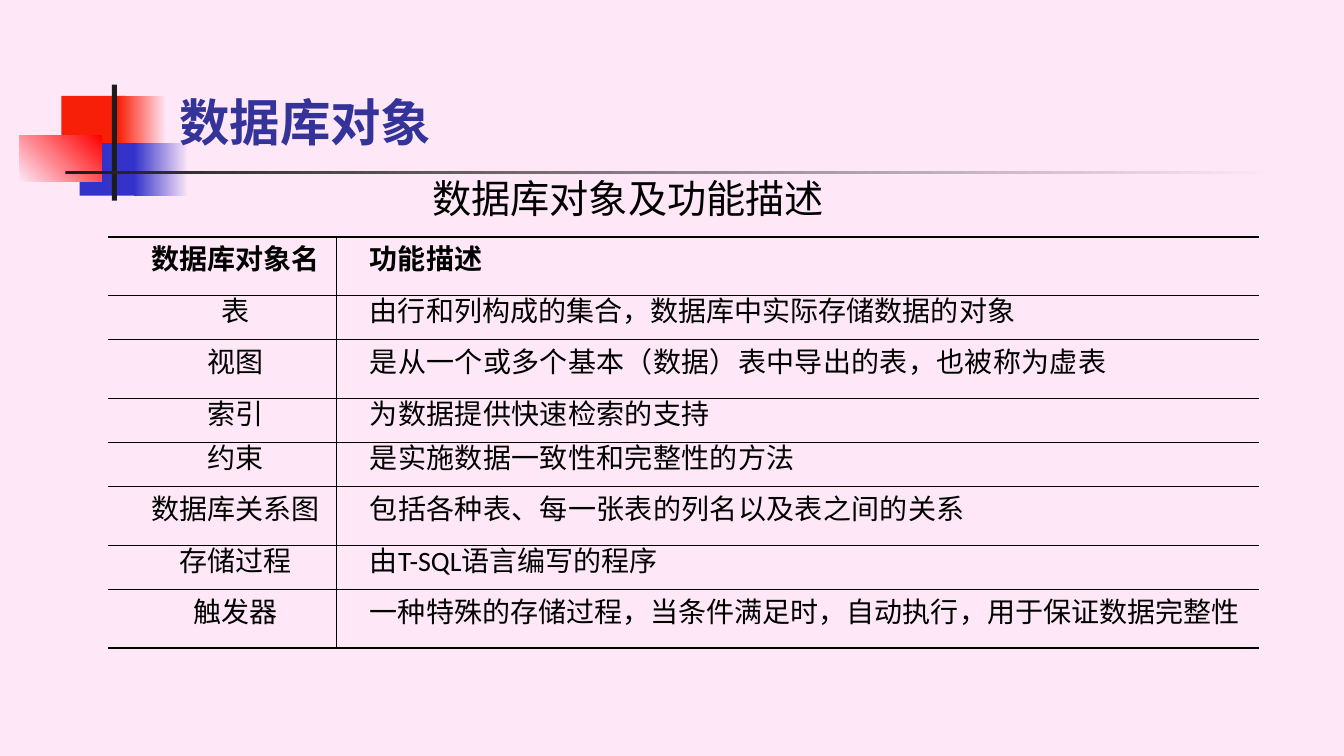
from pptx import Presentation
from pptx import util as u
from pptx.dml.color import RGBColor
from pptx.enum import shapes, text
from pptx.oxml.ns import qn
from lxml import etree

Inches, Pt = u.Inches, u.Pt


def color(hex_string):
    return RGBColor.from_string(hex_string)


def style(paragraph, size, font, hex_string, bold=False, indent=0):
    paragraph._p.get_or_add_pPr().set("indent", str(Inches(indent)))
    for run in paragraph.runs:
        run.font.size = Pt(size)
        run.font.name = font
        run.font.bold = bold
        run.font.color.rgb = color(hex_string)
        east_asian = etree.SubElement(run._r.get_or_add_rPr(), qn("a:ea"))
        east_asian.set("typeface", "Noto Sans CJK SC")


PINK = "FEE8F7"
presentation = Presentation()
presentation.slide_width = Inches(13.33)
presentation.slide_height = Inches(7.5)
slide = presentation.slides.add_slide(presentation.slide_layouts[6])
slide.background.fill.solid()
slide.background.fill.fore_color.rgb = color(PINK)

ornaments = [
    (0.61, 0.95, 0.64, 0.52, ["F81F08"], 0),
    (1.17, 0.95, 0.48, 0.52, ["F81F08", PINK], 0),
    (0.79, 1.42, 0.62, 0.52, ["3333CC"], 0),
    (1.33, 1.42, 0.54, 0.52, ["3333CC", PINK], 0),
    (0.19, 1.34, 0.82, 0.46, [PINK, "FF0000"], 45),
    (1.11, 0.84, 0.05, 1.15, ["1C1C1C"], 0),
    (0.65, 1.7, 12, 0.03, ["1C1C1C", PINK], 0),
]
for left, top, width, height, hues, angle in ornaments:
    ornament = slide.shapes.add_shape(
        shapes.MSO_SHAPE.RECTANGLE,
        Inches(left), Inches(top), Inches(width), Inches(height))
    ornament.shadow.inherit = False
    ornament.line.fill.background()
    if len(hues) == 1:
        ornament.fill.solid()
        ornament.fill.fore_color.rgb = color(hues[0])
    else:
        ornament.fill.gradient()
        ornament.fill.gradient_angle = angle
        for stop, hue in zip(ornament.fill.gradient_stops, hues):
            stop.color.rgb = color(hue)

title = slide.shapes.add_textbox(
    Inches(1.68), Inches(0.68), Inches(11.36), Inches(0.87)).text_frame
title.word_wrap = True
title.vertical_anchor = text.MSO_ANCHOR.BOTTOM
title.text = "数据库对象"
style(title.paragraphs[0], 36, "Times New Roman", "333399", bold=True)

descriptions = [
    ("数据库对象名", "功能描述", 0.58, 0, 0),
    ("表", "由行和列构成的集合，数据库中实际存储数据的对象", 0.44, 0, 0),
    ("视图", "是从一个或多个基本（数据）表中导出的表，也被称为虚表", 0.58, 20, 20),
    ("索引", "为数据提供快速检索的支持", 0.44, 20, 20),
    ("约束", "是实施数据一致性和完整性的方法", 0.44, 20, 20),
    ("数据库关系图", "包括各种表、每一张表的列名以及表之间的关系", 0.58, 0, 20),
    ("存储过程", "由T-SQL语言编写的程序", 0.44, 0, 0),
    ("触发器", "一种特殊的存储过程，当条件满足时，自动执行，用于保证数据完整性", 0.58, 0, 0),
]
last = len(descriptions) - 1
objects = slide.shapes.add_table(
    len(descriptions), 2,
    Inches(1.07), Inches(2.35), Inches(11.42), Inches(4.08)).table
objects.first_row = False
objects.horz_banding = False
objects.columns[0].width = Inches(2.27)
objects.columns[1].width = Inches(9.15)
alignments = [text.PP_ALIGN.CENTER, text.PP_ALIGN.JUSTIFY]

for row, (name, description, height, *spacings) in enumerate(descriptions):
    objects.rows[row].height = Inches(height)
    for column, wording in enumerate((name, description)):
        cell = objects.cell(row, column)
        cell.text = wording
        cell.vertical_anchor = text.MSO_ANCHOR.MIDDLE
        cell.margin_left = cell.margin_right = Inches(0.07)
        cell.margin_top = cell.margin_bottom = 0
        paragraph = cell.text_frame.paragraphs[0]
        paragraph.alignment = alignments[column]
        paragraph.line_spacing = Pt(17)
        style(paragraph, 20, "Calibri", "000000", bold=row == 0, indent=0.26)
        paragraph.runs[0]._r.rPr.set("spc", str(spacings[column]))

        borders = {
            "lnL": column,
            "lnR": 1 - column,
            "lnT": 1.5 if row == 0 else 1,
            "lnB": 1.5 if row == last else 1,
        }
        for side, points in borders.items():
            border = etree.SubElement(cell._tc.get_or_add_tcPr(), qn(f"a:{side}"))
            border.set("w", str(Pt(points)))
            if points:
                ink = etree.SubElement(border, qn("a:solidFill"))
                etree.SubElement(ink, qn("a:srgbClr")).set("val", "000000")
            else:
                etree.SubElement(border, qn("a:noFill"))
        cell.fill.background()

caption = slide.shapes.add_textbox(
    Inches(3.86), Inches(1.66), Inches(4.57), Inches(0.6)).text_frame
caption.word_wrap = True
caption.vertical_anchor = text.MSO_ANCHOR.MIDDLE
caption.text = "数据库对象及功能描述"
style(caption.paragraphs[0], 28, "Noto Sans CJK SC", "000000", indent=0.33)

presentation.save("out.pptx")
